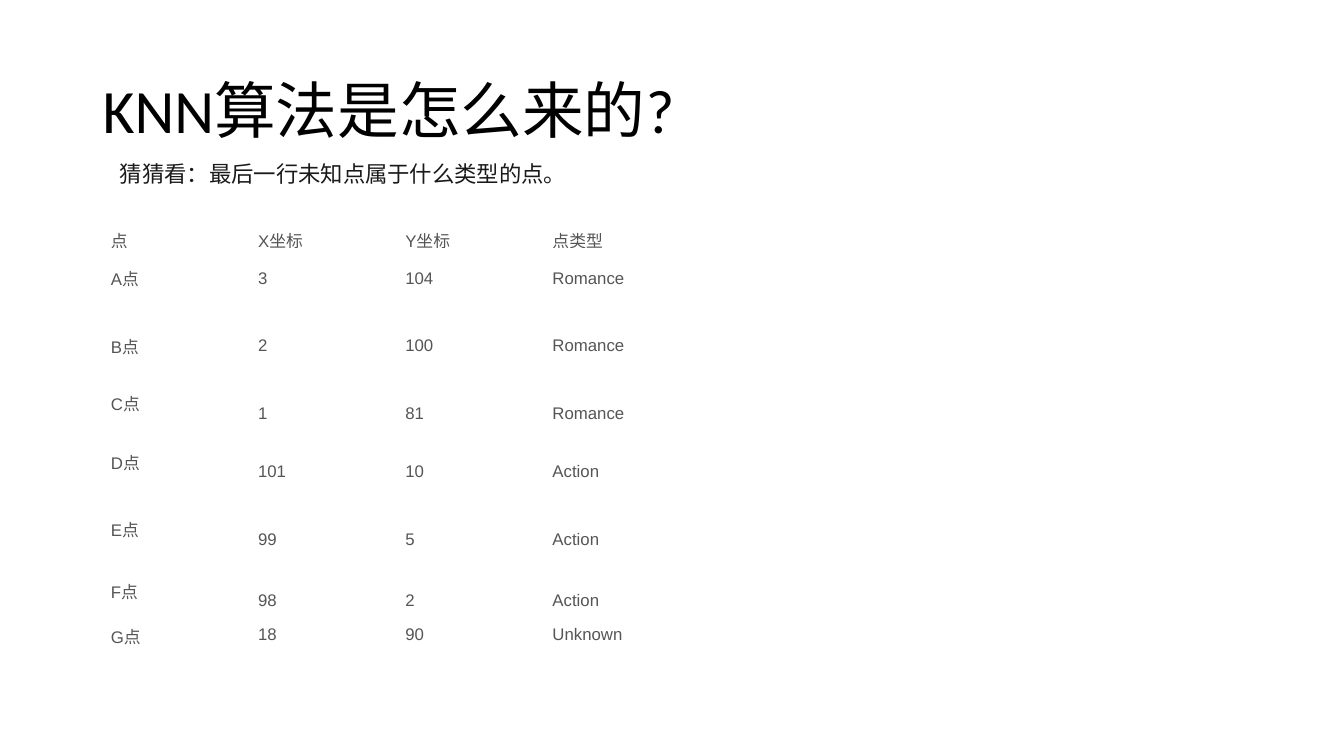
import pptx
import pptx.dml.color
import pptx.enum.text
import pptx.util

Inches = pptx.util.Inches
Align = pptx.enum.text.PP_ALIGN
Anchor = pptx.enum.text.MSO_ANCHOR

BLACK = pptx.dml.color.RGBColor(0x00, 0x00, 0x00)
INK = pptx.dml.color.RGBColor(0x1A, 0x1A, 0x1A)
GREY = pptx.dml.color.RGBColor(0x55, 0x55, 0x55)

COLUMN_WIDTH = 1.46
ROW_HEIGHTS = [0.22, 0.58, 0.76, 0.58, 0.58, 0.76, 0.45, 0.23]
RAISED_NAMES = ("C点", "D点", "E点", "F点")
POINTS = [
    ("点", "X坐标", "Y坐标", "点类型"),
    ("A点", "3", "104", "Romance"),
    ("B点", "2", "100", "Romance"),
    ("C点", "1", "81", "Romance"),
    ("D点", "101", "10", "Action"),
    ("E点", "99", "5", "Action"),
    ("F点", "98", "2", "Action"),
    ("G点", "18", "90", "Unknown"),
]


def write(frame, text, size, color, font="Calibri", align=Align.LEFT, spacing=1.0):
    para = frame.paragraphs[0]
    para.alignment = align
    para.line_spacing = spacing
    span = para.add_run()
    span.text = text
    span.font.size = pptx.util.Pt(size)
    span.font.name = font
    span.font.color.rgb = color


class KnnSlide:
    cell_inset = 0.01
    raised_inset = 0.2

    def __init__(self, deck):
        self.page = deck.slides.add_slide(deck.slide_layouts[6])

    def text(self, place, text, anchor=Anchor.TOP, **style):
        box = self.page.shapes.add_textbox(*map(Inches, place))
        box.text_frame.word_wrap = True
        box.text_frame.vertical_anchor = anchor
        write(box.text_frame, text, **style)

    def table(self, left, top, rows, heights, column_width, **style):
        columns = len(rows[0])
        table = self.page.shapes.add_table(
            len(rows), columns, Inches(left), Inches(top),
            Inches(column_width * columns), Inches(sum(heights)),
        ).table
        table.first_row = False
        table.horz_banding = False
        for column in table.columns:
            column.width = Inches(column_width)
        for row, height, values in zip(table.rows, heights, rows):
            row.height = Inches(height)
            for cell, value in zip(row.cells, values):
                self.cell(cell, value, **style)

    def cell(self, cell, value, **style):
        cell.fill.background()
        cell.vertical_anchor = Anchor.MIDDLE
        cell.margin_left = cell.margin_right = cell.margin_top = Inches(self.cell_inset)
        bottom = self.raised_inset if value in RAISED_NAMES else self.cell_inset
        cell.margin_bottom = Inches(bottom)
        write(cell.text_frame, value, **style)


def main():
    deck = pptx.Presentation()
    deck.slide_width = Inches(13.33)
    deck.slide_height = Inches(7.5)
    slide = KnnSlide(deck)
    slide.text((0.92, 0.4, 11.5, 1.45), "KNN算法是怎么来的?",
               anchor=Anchor.MIDDLE, size=44, color=BLACK, spacing=0.9)
    slide.table(1.09, 2.25, POINTS, ROW_HEIGHTS, COLUMN_WIDTH,
                size=12, color=GREY, font="Arial")
    slide.text((1.09, 1.54, 7.34, 0.37), "猜猜看：最后一行未知点属于什么类型的点。",
               size=16, color=INK, align=Align.JUSTIFY)
    deck.save("out.pptx")


if __name__ == "__main__":
    main()
